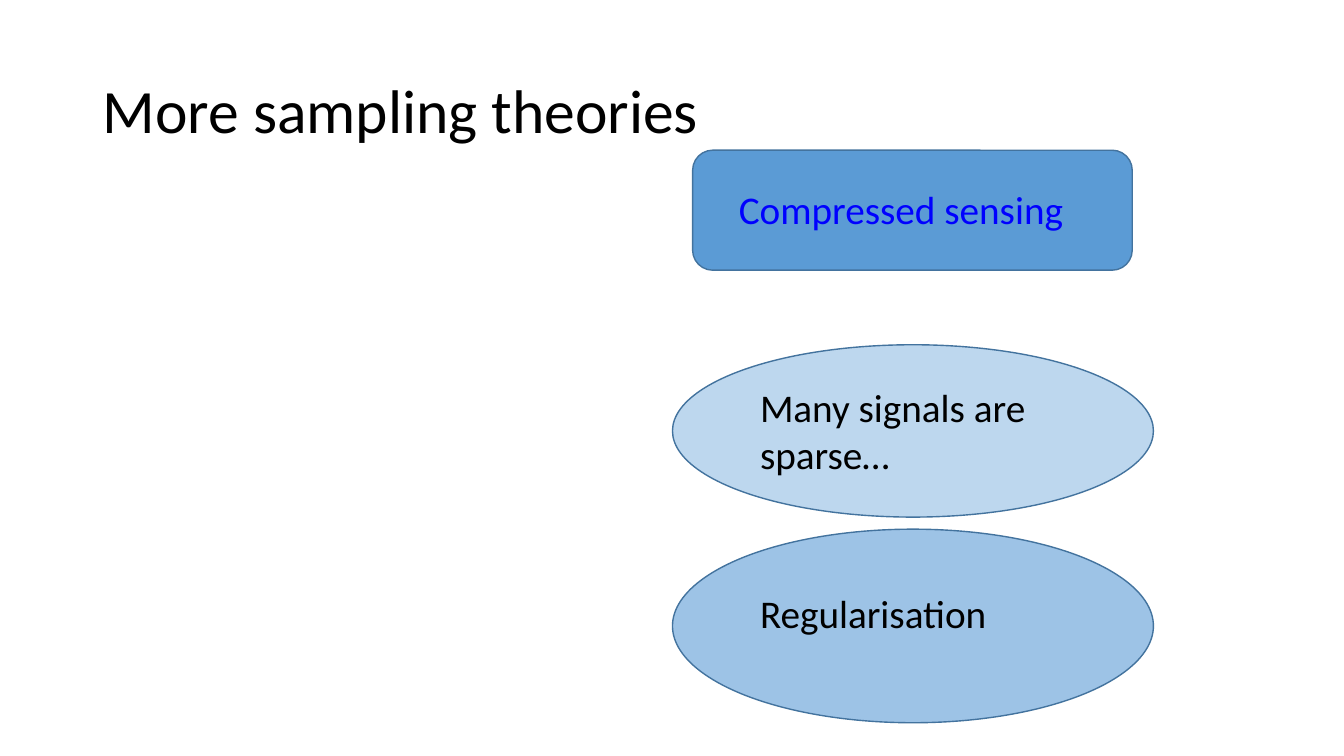
"""Build the slide on further sampling theories."""
from pptx import Presentation
from pptx import util as u
from pptx.dml.color import RGBColor
from pptx.enum import shapes, text

BLACK = RGBColor(0x00, 0x00, 0x00)
LINK_BLUE = RGBColor(0x00, 0x00, 0xFF)
OUTLINE = RGBColor(0x43, 0x73, 0x9E)
LIGHT = RGBColor(0xBD, 0xD7, 0xEE)
MEDIUM = RGBColor(0x9D, 0xC3, 0xE6)
STRONG = RGBColor(0x5B, 0x9B, 0xD5)


class SlideBuilder:
    """Hold the style and the current slide."""

    font_name = "Calibri"

    def __init__(self, slide):
        self.slide = slide

    def panel(self, kind, box, fill):
        shape = self.slide.shapes.add_shape(kind, *map(u.Inches, box))
        shape.shadow.inherit = False
        shape.fill.solid()
        shape.fill.fore_color.rgb = fill
        shape.line.color.rgb = OUTLINE
        shape.line.width = u.Pt(1)

    def label(self, words, box, size=28, color=BLACK, spacing=1.0,
              anchor=text.MSO_ANCHOR.TOP, fit=text.MSO_AUTO_SIZE.SHAPE_TO_FIT_TEXT):
        frame = self.slide.shapes.add_textbox(*map(u.Inches, box)).text_frame
        frame_format = {"word_wrap": True, "vertical_anchor": anchor, "auto_size": fit}
        for name, value in frame_format.items():
            setattr(frame, name, value)
        paragraph = frame.paragraphs[0]
        paragraph.line_spacing = spacing
        run = paragraph.add_run()
        run.text = words
        for name, value in {"name": self.font_name, "size": u.Pt(size)}.items():
            setattr(run.font, name, value)
        run.font.color.rgb = color


def main():
    presentation = Presentation()
    presentation.slide_width = u.Inches(13.33)
    presentation.slide_height = u.Inches(7.5)
    builder = SlideBuilder(presentation.slides.add_slide(presentation.slide_layouts[6]))

    oval = shapes.MSO_SHAPE.OVAL
    builder.panel(oval, (6.67, 5.25, 4.77, 1.92), MEDIUM)
    builder.panel(oval, (6.67, 3.42, 4.77, 1.71), LIGHT)
    builder.panel(shapes.MSO_SHAPE.ROUNDED_RECTANGLE, (6.87, 1.49, 4.36, 1.19), STRONG)

    builder.label("More sampling theories", (0.92, 0.4, 11.5, 1.45), size=44, spacing=0.9,
                  anchor=text.MSO_ANCHOR.MIDDLE, fit=text.MSO_AUTO_SIZE.NONE)
    builder.label("Compressed sensing", (7.23, 1.79, 4.14, 0.57), color=LINK_BLUE)
    builder.label("Many signals are sparse…", (7.44, 3.75, 4.14, 1.04))
    builder.label("Regularisation", (7.44, 5.8, 4.14, 0.57))

    presentation.save("out.pptx")


if __name__ == "__main__":
    main()
